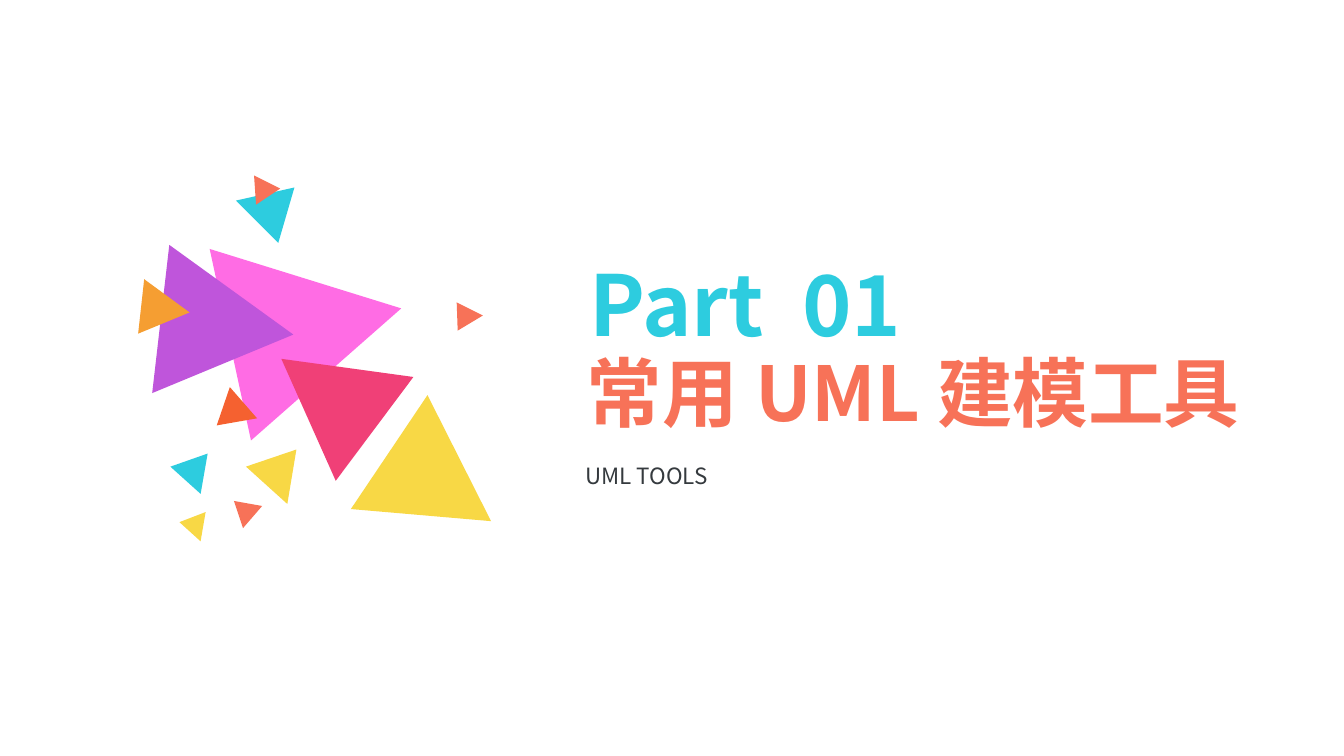
from pptx import Presentation
from pptx.dml.color import RGBColor
from pptx.enum.text import MSO_ANCHOR, PP_ALIGN
from pptx.oxml.ns import qn
from pptx.util import Inches, Pt

FONT = "Noto Sans CJK SC"
COLORS = {
    "cyan": "2DCCDF",
    "pink": "FF6CE4",
    "purple": "BF55DB",
    "amber": "F59E32",
    "orange": "F56130",
    "yellow": "F8D845",
    "coral": "F77258",
    "crimson": "F04077",
    "ink": "353A3E",
}

# Corner points in inches, from back to front
TRIANGLES = [
    ("cyan", (2.92, 1.86), (2.76, 2.41), (2.34, 1.99)),
    ("pink", (2.49, 4.37), (2.08, 2.47), (3.98, 3.06)),
    ("purple", (1.51, 3.9), (1.68, 2.43), (2.91, 3.32)),
    ("amber", (1.37, 3.31), (1.43, 2.77), (1.88, 3.1)),
    ("orange", (2.15, 4.22), (2.28, 3.84), (2.55, 4.15)),
    ("cyan", (1.69, 4.63), (2.06, 4.5), (1.99, 4.9)),
    ("yellow", (1.78, 5.18), (2.04, 5.08), (1.99, 5.37)),
    ("coral", (2.41, 5.24), (2.32, 4.97), (2.6, 5.02)),
    ("yellow", (2.44, 4.63), (2.94, 4.46), (2.85, 5)),
    ("yellow", (3.48, 5.05), (4.24, 3.92), (4.87, 5.17)),
    ("crimson", (4.1, 3.74), (3.33, 4.77), (2.79, 3.56)),
    ("coral", (4.54, 3.28), (4.53, 3), (4.79, 3.13)),
    ("coral", (2.54, 2.03), (2.52, 1.74), (2.78, 1.87)),
]


def add_triangle(slide, color, *corners):
    start, *others = [(Inches(x), Inches(y)) for x, y in corners]
    outline = slide.shapes.build_freeform(*start)
    outline.add_line_segments(others, close=True)
    triangle = outline.convert_to_shape()
    triangle.shadow.inherit = False
    triangle.fill.solid()
    triangle.fill.fore_color.rgb = RGBColor.from_string(COLORS[color])
    triangle.line.fill.background()


def write_line(holder, text, size, color, bold=False):
    """Fill a text box or placeholder with one left-aligned line."""
    frame = holder.text_frame
    frame.word_wrap = True
    frame.vertical_anchor = MSO_ANCHOR.MIDDLE
    paragraph = frame.paragraphs[0]
    paragraph.alignment = PP_ALIGN.LEFT
    run = paragraph.add_run()
    run.text = text
    font = run.font
    font.name, font.size, font.bold = FONT, Pt(size), bold
    font.color.rgb = RGBColor.from_string(COLORS[color])
    east_asian = run._r.get_or_add_rPr().makeelement(qn("a:ea"), {"typeface": FONT})
    font._element.find(qn("a:latin")).addnext(east_asian)


def add_label(slide, left, top, width, height, *style):
    box = [Inches(length) for length in (left, top, width, height)]
    write_line(slide.shapes.add_textbox(*box), *style)


def place_title(slide, left, top, width, height, *style):
    title = slide.shapes.title
    title.left, title.top = Inches(left), Inches(top)
    title.width, title.height = Inches(width), Inches(height)
    write_line(title, *style)


def main():
    deck = Presentation()
    deck.slide_width, deck.slide_height = Inches(13.33), Inches(7.5)
    slide = deck.slides.add_slide(deck.slide_layouts[5])
    for triangle in TRIANGLES:
        add_triangle(slide, *triangle)
    add_label(slide, 5.75, 2.45, 4.5, 1.11, "Part  01", 60, "cyan", True)
    place_title(slide, 5.72, 3.38, 7.08, 1.01, "常用 UML 建模工具", 54, "coral", True)
    add_label(slide, 5.71, 4.53, 6.62, 0.37, "UML TOOLS", 16, "ink")
    deck.save("out.pptx")


if __name__ == "__main__":
    main()
